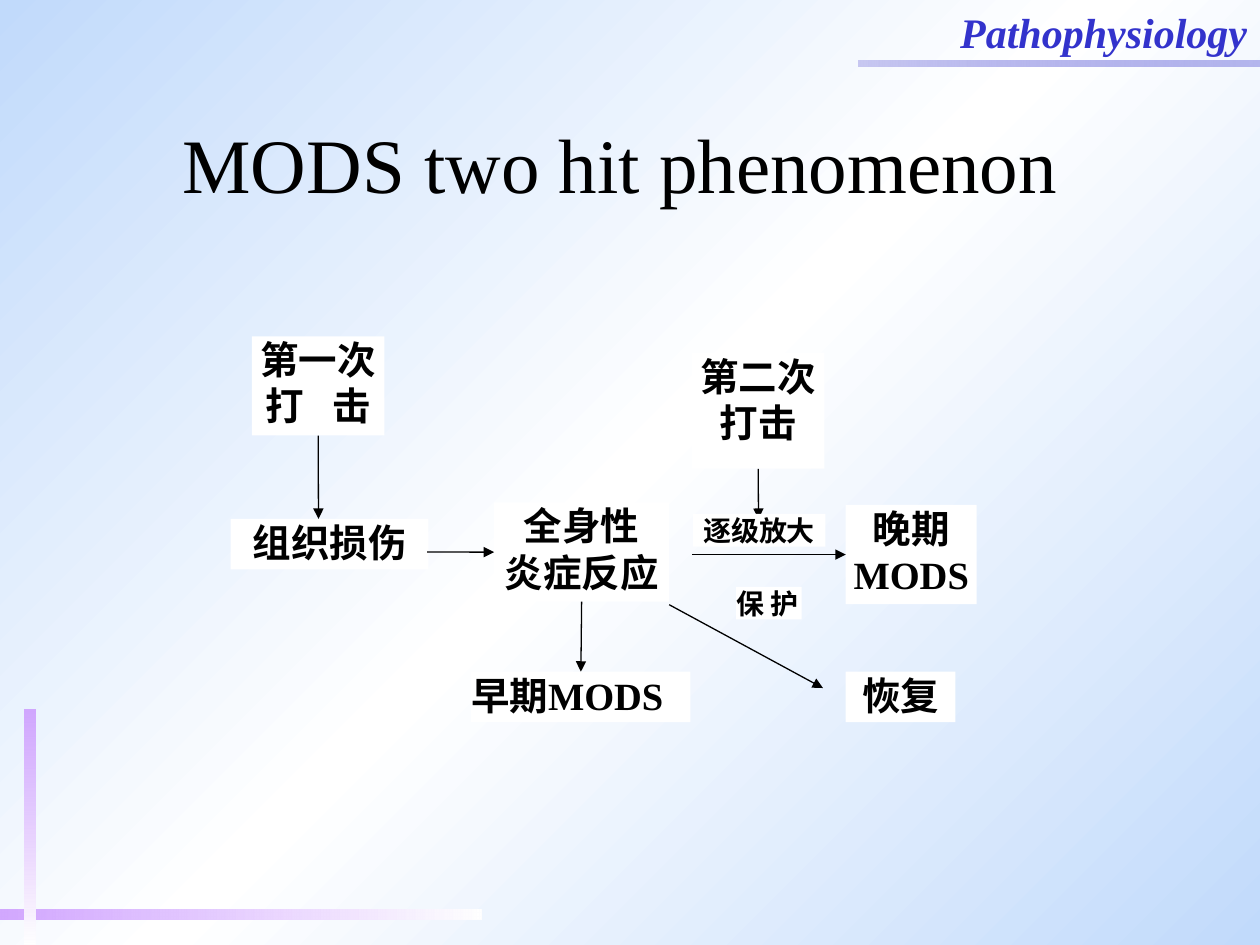
from lxml import etree
from pptx import Presentation
from pptx import util as u
from pptx.dml import color
from pptx.enum import shapes, text
from pptx.oxml import ns

FONT = "Times New Roman"
COLORS = {"ink": "000000", "paper": "FFFFFF", "sky": "C1DAFB", "heading": "3333CC",
          "rule_start": "C7C7F1", "rule_end": "7575DD", "violet": "CC99FF"}


def rgb(name):
    return color.RGBColor.from_string(COLORS[name])


def add_child(parent, tag, **attributes):
    return etree.SubElement(parent, ns.qn(tag), attributes)


def set_gradient(fill, element, stops, angle):
    """Stops are (position %, colour name, opacity %); angle runs clockwise."""
    fill.gradient()
    fill.gradient_angle = -angle % 360
    stop_list = element.find(".//" + ns.qn("a:gsLst"))
    for old in list(stop_list):
        stop_list.remove(old)
    for position, name, opacity in stops:
        stop = add_child(stop_list, "a:gs", pos=str(position * 1000))
        tint = add_child(stop, "a:srgbClr", val=COLORS[name])
        if opacity < 100:
            add_child(tint, "a:alpha", val=str(opacity * 1000))


def add_rectangle(page, left, top, width, height):
    box = page.shapes.add_shape(shapes.MSO_SHAPE.RECTANGLE, u.Cm(left), u.Cm(top),
                                u.Cm(width), u.Cm(height))
    box.shadow.inherit = False
    box.line.fill.background()
    return box


def add_bar(page, place, stops, angle):
    bar = add_rectangle(page, *place)
    set_gradient(bar.fill, bar._element.spPr, stops, angle)


def style_span(span, size, name="ink", bold=False, italic=False):
    span.font.name = FONT
    span.font.size = u.Pt(size)
    span.font.bold = bold
    span.font.italic = italic
    span.font.color.rgb = rgb(name)


def add_caption(page, place, words, size, wrap, **style):
    box = page.shapes.add_textbox(*(u.Cm(length) for length in place))
    frame = box.text_frame
    frame.word_wrap = wrap
    frame.vertical_anchor = text.MSO_ANCHOR.MIDDLE
    frame.text = words
    para = frame.paragraphs[0]
    para.alignment = text.PP_ALIGN.CENTER
    style_span(para.runs[0], size, **style)


def add_label(page, place, words, size=22, align=text.PP_ALIGN.CENTER, gap=0):
    """White box with bold text; gap widens the space in the words, in points."""
    box = add_rectangle(page, *place)
    box.fill.solid()
    box.fill.fore_color.rgb = rgb("paper")
    frame = box.text_frame
    frame.word_wrap = True
    frame.vertical_anchor = text.MSO_ANCHOR.TOP
    frame.margin_left = frame.margin_right = frame.margin_top = frame.margin_bottom = 0
    for index, line in enumerate(words.split("\n")):
        para = frame.add_paragraph() if index else frame.paragraphs[0]
        para.alignment = align
        for piece in filter(None, line.partition(" ")):
            span = para.add_run()
            span.text = piece
            style_span(span, size, bold=True)
            if piece == " " and gap:
                span.font._element.set("spc", str(gap * 100))
    return box


def add_arrow(page, start, end):
    arrow = page.shapes.add_connector(shapes.MSO_CONNECTOR.STRAIGHT,
                                      *(u.Cm(length) for length in start + end))
    arrow.line.color.rgb = rgb("ink")
    arrow.line.width = u.Pt(0.75)
    add_child(arrow.line._get_or_add_ln(), "a:tailEnd", type="triangle")
    add_child(arrow._element.spPr, "a:effectLst")
    return arrow


def draw_header(page, left, top, width):
    add_bar(page, (left, top + 1.22, width, 0.12),
            [(0, "rule_start", 100), (100, "rule_end", 50)], 0)
    add_caption(page, (left + 1.8, top, width - 1.83, 1.27), "Pathophysiology", 24, False,
                name="heading", bold=True, italic=True)


def draw_corner(page, left, top, width, height):
    fade = [(0, "violet", 84), (100, "paper", 100)]
    add_bar(page, (left, top + 4.03, width, 0.2), fade, 0)
    add_bar(page, (left + 0.49, top, 0.22, height), fade, 90)


def draw_flow(page, left, top):
    def at(x, y, *size):
        return (left + x, top + y, *size)

    justify = text.PP_ALIGN.JUSTIFY
    first_hit = add_label(page, at(0.43, 0, 2.67, 2), "第一次打 击", gap=11)
    add_label(page, at(0, 3.68, 3.99, 1.02), "组织损伤")
    systemic = add_label(page, at(5.31, 3.35, 3.53, 2), "全身性\n炎症反应")
    second_hit = add_label(page, at(9.3, 0.33, 2.67, 2.34), "第二次打击")
    late = add_label(page, at(12.4, 3.4, 2.64, 2), "晚期MODS")
    early = add_label(page, at(4.85, 6.76, 4.42, 1.02), "早期MODS", align=justify)
    add_label(page, at(12.4, 6.76, 2.21, 1.02), "恢复")

    # start, end, joined start (box, side), joined end (box, side)
    arrows = [
        ((9.3, 4.4), (12.4, 4.4), None, (late, 1)),
        ((7.08, 5.35), (7.06, 6.76), (systemic, 2), (early, 0)),
        ((8.84, 5.41), (11.94, 7.09), None, None),
        ((3.96, 4.35), (5.31, 4.35), None, (systemic, 1)),
        ((1.77, 2), (1.77, 3.68), (first_hit, 2), None),
        ((10.64, 2.67), (10.64, 3.68), (second_hit, 2), None),
    ]
    for start, end, source, target in arrows:
        arrow = add_arrow(page, at(*start), at(*end))
        if source:
            arrow.begin_connect(*source)
        if target:
            arrow.end_connect(*target)

    add_label(page, at(9.32, 3.58, 2.67, 0.66), "逐级放大", size=16)
    add_label(page, at(10.19, 5.05, 1.32, 0.66), "保 护", size=16, align=justify)


def main():
    deck = Presentation()
    deck.slide_width, deck.slide_height = u.Cm(25.4), u.Cm(19.05)
    page = deck.slides.add_slide(deck.slide_layouts[6])
    set_gradient(page.background.fill, page.element,
                 [(0, "sky", 100), (50, "paper", 100), (100, "sky", 100)], 45)
    draw_header(page, 17.3, 0, 8.13)
    draw_corner(page, 0, 14.31, 9.7, 4.74)
    draw_flow(page, 4.65, 6.78)
    add_caption(page, (1.9, 1.7, 21.6, 3.18), "MODS two hit phenomenon ", 44, True)
    deck.save("out.pptx")


if __name__ == "__main__":
    main()
